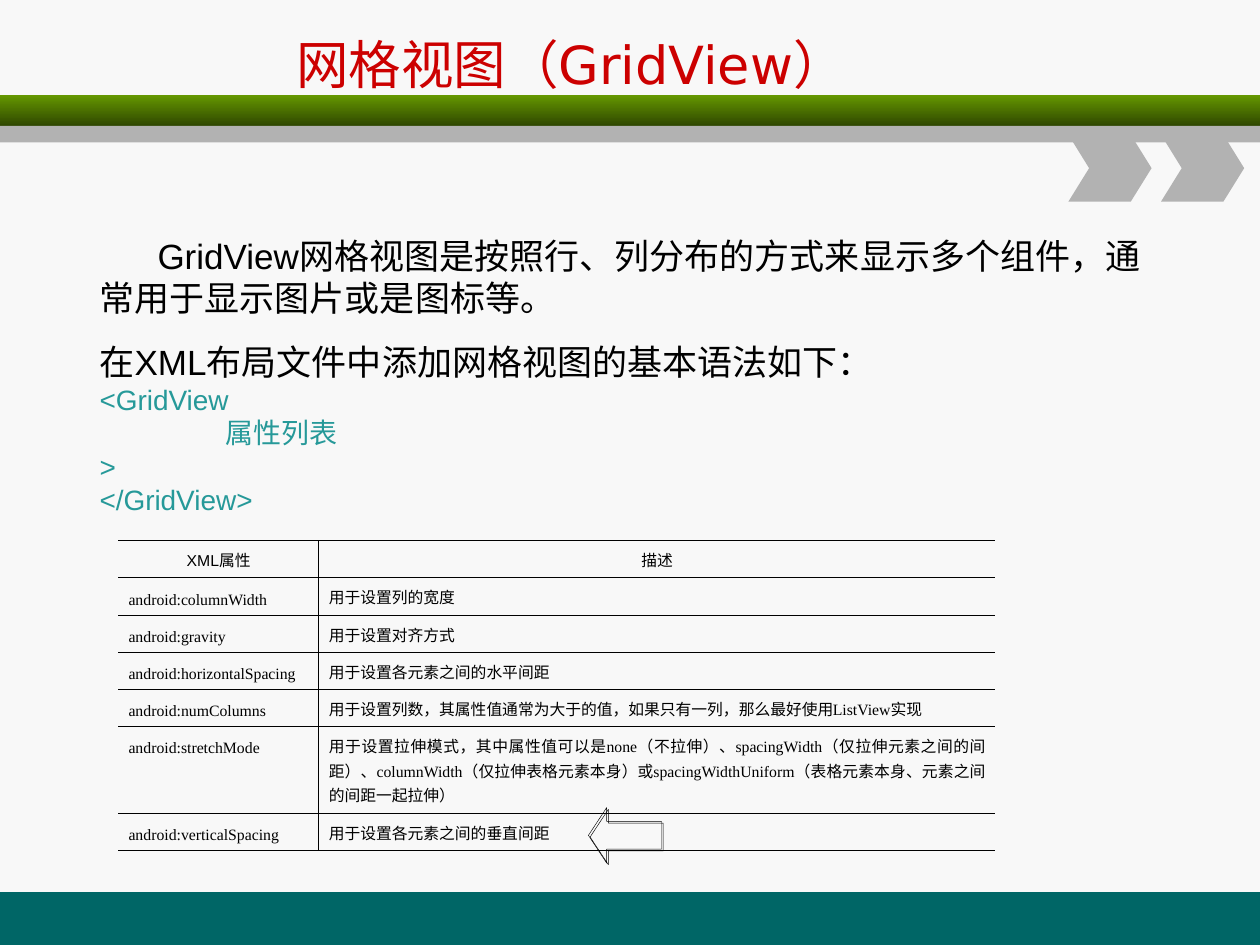
"""Build the GridView slide: title, usage text, attribute table and decoration."""
from dataclasses import dataclass
from typing import Any, NamedTuple, Optional

from lxml import etree
from pptx import Presentation
from pptx.dml.color import RGBColor
from pptx.enum.shapes import MSO_SHAPE
from pptx.enum.text import MSO_ANCHOR, MSO_AUTO_SIZE, PP_ALIGN
from pptx.oxml.ns import qn
from pptx.util import Inches, Pt

RECT, CHEVRON, ARROW = MSO_SHAPE.RECTANGLE, MSO_SHAPE.CHEVRON, MSO_SHAPE.LEFT_ARROW
TOP, MIDDLE = MSO_ANCHOR.TOP, MSO_ANCHOR.MIDDLE
LEFT, CENTER, JUSTIFY = PP_ALIGN.LEFT, PP_ALIGN.CENTER, PP_ALIGN.JUSTIFY
NO_FIT = MSO_AUTO_SIZE.NONE

BLACK = RGBColor(0, 0, 0)
RED = RGBColor(0xCC, 0, 0)
CODE_TEAL = RGBColor(0x26, 0x99, 0x99)
FOOT_TEAL = RGBColor(0, 0x66, 0x66)
GREEN = RGBColor(0x66, 0x99, 0)
DARK_GREEN = RGBColor(0x2F, 0x47, 0)
GREY = RGBColor(0xB2, 0xB2, 0xB2)
PAPER = RGBColor(0xF8, 0xF8, 0xF8)

UNIT = Inches(0.1)
COLS, ROWS = 100, 75
BORDER = Pt(0.45)


class Box(NamedTuple):
    """Left, top, width and height in grid units."""
    x: float
    y: float
    w: float
    h: float

    def emu(self) -> list[int]:
        """Return the four lengths in EMU."""
        return [round(v * UNIT) for v in self]


@dataclass
class Decor:
    """A plain filled shape of the background."""
    kind: Any
    box: Box
    colour: RGBColor
    end_colour: Optional[RGBColor] = None
    point: Optional[float] = None


@dataclass
class Line:
    """A paragraph of the body text, with margins in grid units."""
    text: str
    size: int = 16
    colour: RGBColor = CODE_TEAL
    before: float = 0
    margin: float = 0
    indent: float = 0


DECOR = [
    Decor(RECT, Box(0, 70.8, COLS, 4.2), FOOT_TEAL),
    Decor(RECT, Box(0, 7.5, COLS, 2.5), GREEN, DARK_GREEN),
    Decor(RECT, Box(0, 10, COLS, 1.3), GREY),
    *(Decor(CHEVRON, Box(84.8 + 7.35 * i, 10.7, 6.6, 5.3), GREY, point=0.31)
      for i in range(2)),
]

BODY = [
    Line("GridView网格视图是按照行、列分布的方式来显示多个组件，通常用于显示图片或是图标等。",
         20, BLACK, indent=4.6),
    Line("在XML布局文件中添加网格视图的基本语法如下：", 20, BLACK, before=12.5),
    Line("<GridView"),
    Line("属性列表", margin=10),
    Line(">"),
    Line("</GridView>"),
]

TABLE = [
    ("XML属性", "描述"),
    ("android:columnWidth", "用于设置列的宽度"),
    ("android:gravity", "用于设置对齐方式"),
    ("android:horizontalSpacing", "用于设置各元素之间的水平间距"),
    ("android:numColumns", "用于设置列数，其属性值通常为大于的值，如果只有一列，那么最好使用ListView实现"),
    ("android:stretchMode",
     "用于设置拉伸模式，其中属性值可以是none（不拉伸）、spacingWidth（仅拉伸元素之间的间距）、"
     "columnWidth（仅拉伸表格元素本身）或spacingWidthUniform（表格元素本身、元素之间的间距一起拉伸）"),
    ("android:verticalSpacing", "用于设置各元素之间的垂直间距"),
]
COL_WIDTHS = (15.9, 53.7)
ROW_HEIGHT, TALL_ROW_HEIGHT, TALL_ROW = 2.94, 6.9, 5


def apply(target: Any, values: dict[str, Any]) -> None:
    """Set every attribute named in values."""
    for name, value in values.items():
        setattr(target, name, value)


def set_font(font: Any, name: str, size: float, colour: RGBColor) -> None:
    """Format a font."""
    apply(font, {"name": name, "size": Pt(size), "bold": False})
    font.color.rgb = colour


def place(sp: Any, box: Box) -> None:
    """Move a placeholder to a box."""
    apply(sp, dict(zip(("left", "top", "width", "height"), box.emu())))


def draw_decor(s: Any, decor: Decor) -> None:
    """Draw one background shape."""
    sp = s.shapes.add_shape(decor.kind, *decor.box.emu())
    sp.shadow.inherit = False
    sp.line.fill.background()
    if decor.point:
        sp.adjustments[0] = decor.point
    if decor.end_colour is None:
        sp.fill.solid()
        sp.fill.fore_color.rgb = decor.colour
        return
    sp.fill.gradient()
    sp.fill.gradient_angle = 270
    for stop, colour in zip(sp.fill.gradient_stops, (decor.colour, decor.end_colour)):
        stop.color.rgb = colour


def fill_title(sp: Any) -> None:
    """Place and write the title."""
    place(sp, Box(22.5, 1.7, 48.6, 6.7))
    tf = sp.text_frame
    apply(tf, {"text": "网格视图（GridView）", "auto_size": NO_FIT, "vertical_anchor": MIDDLE})
    p = tf.paragraphs[0]
    p.alignment = LEFT
    set_font(p.runs[0].font, "DejaVu Sans", 30, RED)


def fill_body(sp: Any) -> None:
    """Place and write the body text."""
    place(sp, Box(6.9, 18.1, 87.2, 23.4))
    tf = sp.text_frame
    apply(tf, {"auto_size": NO_FIT, "vertical_anchor": TOP, "word_wrap": True})
    for i, line in enumerate(BODY):
        p = tf.paragraphs[0] if i == 0 else tf.add_paragraph()
        apply(p, {"space_before": Pt(line.before), "alignment": LEFT})
        props = p._p.get_or_add_pPr()
        props.set("marL", str(round(line.margin * UNIT)))
        props.set("indent", str(round(line.indent * UNIT)))
        etree.SubElement(props, qn("a:buNone"))
        r = p.add_run()
        r.text = line.text
        set_font(r.font, "Arial", line.size, line.colour)


def set_borders(cell: Any, ruled: set[str]) -> None:
    """Rule the named sides of a cell and clear the others."""
    props = cell._tc.get_or_add_tcPr()
    for i, side in enumerate("LRTB"):
        ln = etree.Element(qn(f"a:ln{side}"), w=str(BORDER))
        if side in ruled:
            fill = etree.SubElement(ln, qn("a:solidFill"))
            etree.SubElement(fill, qn("a:srgbClr"), val=str(BLACK))
        else:
            etree.SubElement(ln, qn("a:noFill"))
        props.insert(i, ln)


def draw_table(s: Any) -> None:
    """Draw the attribute table."""
    heights = [TALL_ROW_HEIGHT if i == TALL_ROW else ROW_HEIGHT for i in range(len(TABLE))]
    box = Box(9.4, 42.9, sum(COL_WIDTHS), sum(heights))
    table = s.shapes.add_table(len(TABLE), len(COL_WIDTHS), *box.emu()).table
    apply(table, {"first_row": False, "horz_banding": False})
    for col, width in zip(table.columns, COL_WIDTHS):
        col.width = round(width * UNIT)
    for i, (row, height, texts) in enumerate(zip(table.rows, heights, TABLE)):
        row.height = round(height * UNIT)
        for j, (cell, text) in enumerate(zip(row.cells, texts)):
            apply(cell, {"text": text, "margin_left": Inches(0.08), "margin_right": Inches(0.08),
                         "vertical_anchor": TOP if i and j == 0 else MIDDLE})
            cell.fill.background()
            set_borders(cell, set("RTB" if j == 0 else "LTB"))
            p = cell.text_frame.paragraphs[0]
            apply(p, {"line_spacing": Pt(14),
                      "alignment": CENTER if i == 0 else (LEFT, JUSTIFY)[j]})
            set_font(p.runs[0].font, "Times New Roman" if i else "Arial", 9, BLACK)


def draw_arrow(s: Any) -> None:
    """Draw the outlined arrow with its small shadow."""
    sp = s.shapes.add_shape(ARROW, *Box(46.7, 64.1, 5.8, 4.4).emu())
    sp.adjustments[0], sp.adjustments[1] = 0.5, 0.33
    sp.fill.background()
    sp.line.color.rgb = BLACK
    sp.line.width = Pt(0.25)
    effects = etree.SubElement(sp._element.spPr, qn("a:effectLst"))
    shadow = etree.SubElement(effects, qn("a:outerShdw"), dist=str(Pt(1.4)), dir="2700000")
    etree.SubElement(shadow, qn("a:srgbClr"), val=str(BLACK))


def main() -> None:
    """Build and save the slide."""
    prs = Presentation()
    apply(prs, {"slide_width": COLS * UNIT, "slide_height": ROWS * UNIT})
    s = prs.slides.add_slide(prs.slide_layouts[1])
    s.background.fill.solid()
    s.background.fill.fore_color.rgb = PAPER
    for decor in DECOR:
        draw_decor(s, decor)
    fill_title(s.shapes.title)
    fill_body(s.placeholders[1])
    draw_table(s)
    draw_arrow(s)
    prs.save("out.pptx")


if __name__ == "__main__":
    main()
